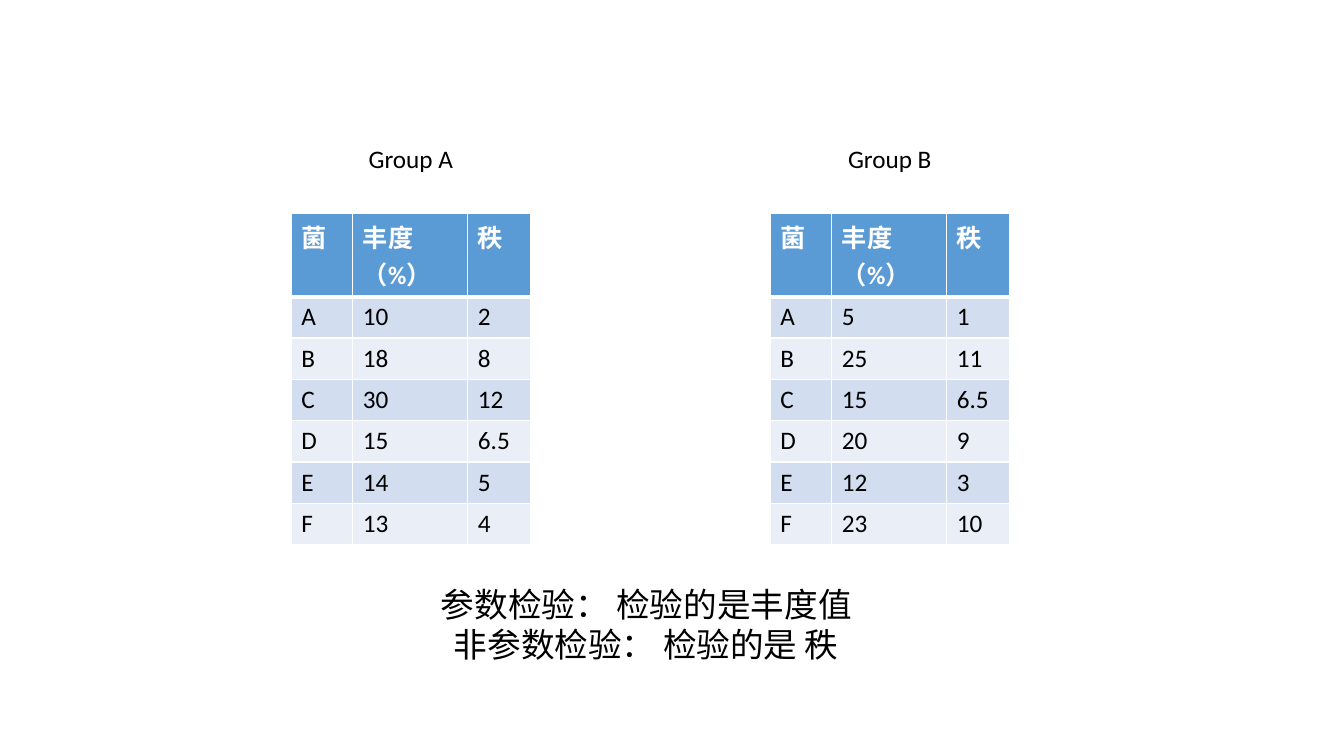
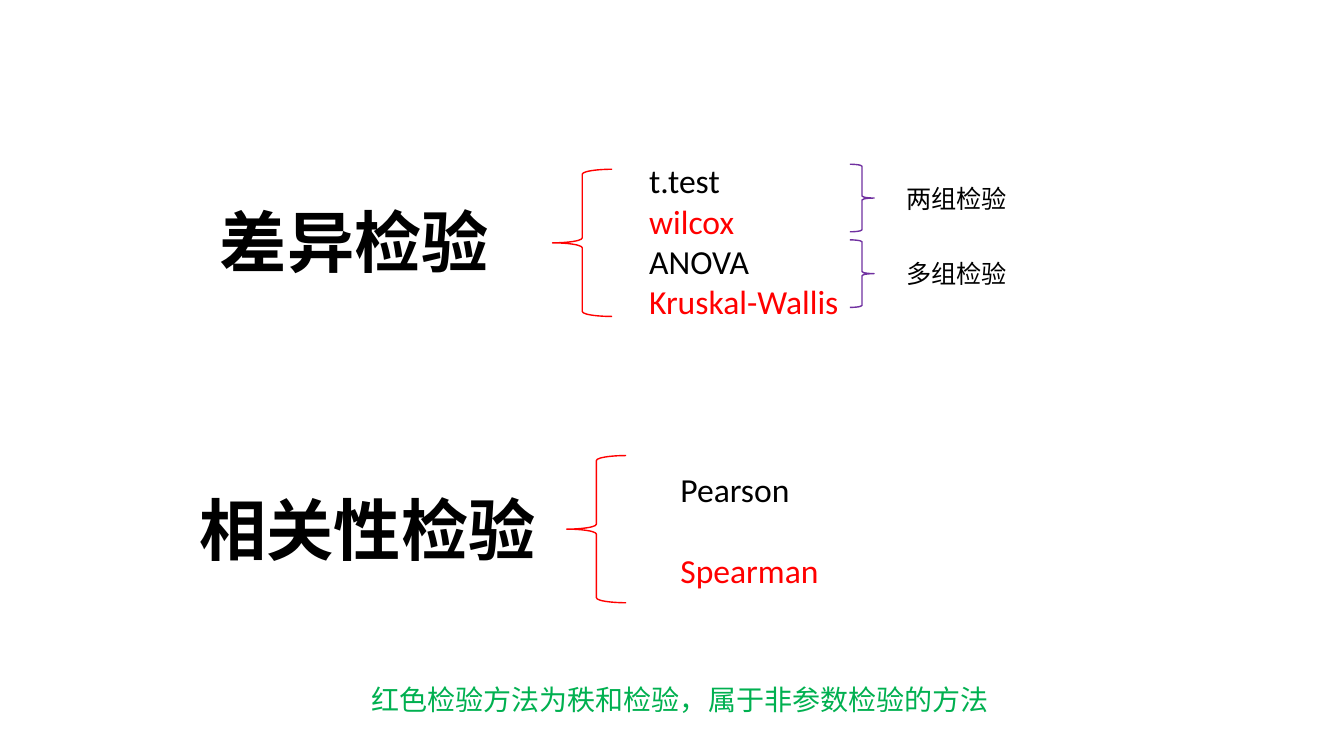
import pptx
import pptx.util
import pptx.dml.color
import pptx.enum.shapes
import pptx.enum.text
import pptx.oxml
import pptx.oxml.ns

Inches = pptx.util.Inches
Pt = pptx.util.Pt
ALIGN = pptx.enum.text.PP_ALIGN
SHAPE = pptx.enum.shapes.MSO_SHAPE

BLACK, WHITE, RED = "000000", "FFFFFF", "FF0000"
PURPLE, GREEN = "7030A0", "00B050"
HEADER_FILL, BAND_FILLS = "5B9BD5", ("EAEFF7", "D2DEEF")


def paint(target, color):
    target.rgb = pptx.dml.color.RGBColor.from_string(color)


def write(frame, lines, size, align=ALIGN.LEFT, bold=False, gap=0):
    formats = {"name": "Calibri", "size": Pt(size), "bold": bold}
    for index, (text, color) in enumerate(lines):
        para = frame.add_paragraph() if index else frame.paragraphs[0]
        para.alignment = align
        para.space_before = Pt(gap if index else 0)
        span = para.add_run()
        span.text = text
        for name, value in formats.items():
            setattr(span.font, name, value)
        paint(span.font.color, color)


deck = pptx.Presentation()
deck.slide_width, deck.slide_height = Inches(13.33), Inches(7.5)
ranks_page, methods_page = [deck.slides.add_slide(deck.slide_layouts[6]) for _ in range(2)]

headings = ("菌", "丰度（%）", "秩")
column_widths = (0.61, 1.14, 0.62)
header_height, row_height = 0.81, 0.41
groups = [
    ("Group A", 2.89, (10, 18, 30, 15, 14, 13), (2, 8, 12, 6.5, 5, 4)),
    ("Group B", 7.64, (5, 25, 15, 20, 12, 23), (1, 11, 6.5, 9, 3, 10)),
]

texts = [
    (ranks_page, (3.78, 5.74, 5.26, 0.91),
     [("参数检验： 检验的是丰度值", BLACK), ("非参数检验： 检验的是 秩", BLACK)],
     {"size": 24, "align": ALIGN.CENTER}),
    (methods_page, (2.08, 1.94, 2.87, 0.91), [("差异检验", BLACK)],
     {"size": 48, "align": ALIGN.CENTER, "bold": True}),
    (methods_page, (1.88, 4.8, 3.53, 0.91), [("相关性检验", BLACK)],
     {"size": 48, "align": ALIGN.CENTER, "bold": True}),
    (methods_page, (6.34, 1.54, 2.87, 1.72),
     [("t.test", BLACK), ("wilcox", RED), ("ANOVA", BLACK), ("Kruskal-Wallis", RED)],
     {"size": 24}),
    (methods_page, (6.65, 4.6, 2.87, 1.31), [("Pearson", BLACK), ("Spearman", RED)],
     {"size": 24, "gap": 29}),
    (methods_page, (8.89, 1.77, 1.6, 0.4), [("两组检验", BLACK)], {"size": 18}),
    (methods_page, (8.89, 2.51, 1.6, 0.4), [("多组检验", BLACK)], {"size": 18}),
    (methods_page, (3.25, 6.72, 6.99, 0.44),
     [("红色检验方法为秩和检验，属于非参数检验的方法", GREEN)],
     {"size": 20, "align": ALIGN.CENTER}),
]

for group, left, abundances, ranks in groups:
    texts.append((ranks_page, (left + 0.16, 1.37, 2.05, 0.4), [(group, BLACK)],
                  {"size": 18, "align": ALIGN.CENTER}))
    rows = [headings, *zip("ABCDEF", abundances, ranks)]
    height = header_height + row_height * len(abundances)
    table = ranks_page.shapes.add_table(
        len(rows), len(headings), Inches(left), Inches(2.12),
        Inches(sum(column_widths)), Inches(height)).table
    table.horz_banding = False
    for column, width in zip(table.columns, column_widths):
        column.width = Inches(width)
    for row_index, values in enumerate(rows):
        is_header = row_index == 0
        table.rows[row_index].height = Inches(header_height if is_header else row_height)
        borders = {"lnL": 1, "lnR": 1, "lnT": 3 if row_index == 1 else 1,
                   "lnB": 3 if is_header else 1}
        for column_index, value in enumerate(values):
            cell = table.cell(row_index, column_index)
            properties = cell._tc.get_or_add_tcPr()
            for side, width in borders.items():
                properties.append(pptx.oxml.parse_xml(
                    f'<a:{side} {pptx.oxml.ns.nsdecls("a")} w="{Pt(width)}"><a:solidFill>'
                    f'<a:srgbClr val="{WHITE}"/></a:solidFill></a:{side}>'))
            cell.fill.solid()
            paint(cell.fill.fore_color, HEADER_FILL if is_header else BAND_FILLS[row_index % 2])
            write(cell.text_frame, [(str(value), WHITE if is_header else BLACK)], 18, bold=is_header)

for page, place, lines, style in texts:
    box = page.shapes.add_textbox(*map(Inches, place))
    box.text_frame.word_wrap = not style.get("bold", False)
    write(box.text_frame, lines, **style)

braces = [
    (SHAPE.LEFT_BRACE, RED, (0.59, 1.46), [(5.48, 1.68), (5.62, 4.52)]),
    (SHAPE.RIGHT_BRACE, PURPLE, (0.24, 0.67), [(8.43, 1.63), (8.43, 2.38)]),
]
for kind, color, size, corners in braces:
    for corner in corners:
        brace = methods_page.shapes.add_shape(kind, *map(Inches, corner + size))
        brace.shadow.inherit = False
        brace.fill.background()
        brace.line.width = Pt(1)
        paint(brace.line.color, color)

deck.save("out.pptx")
